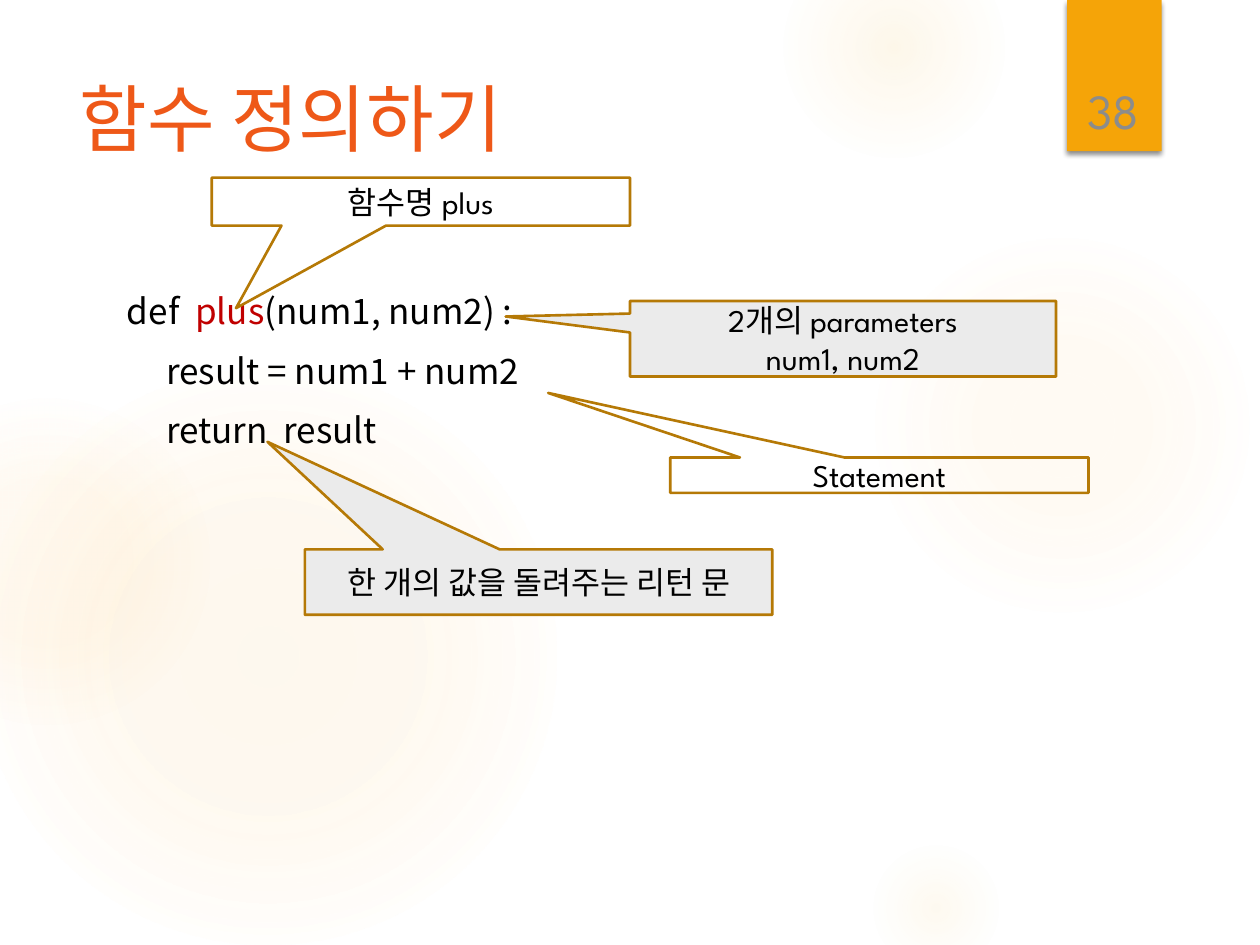
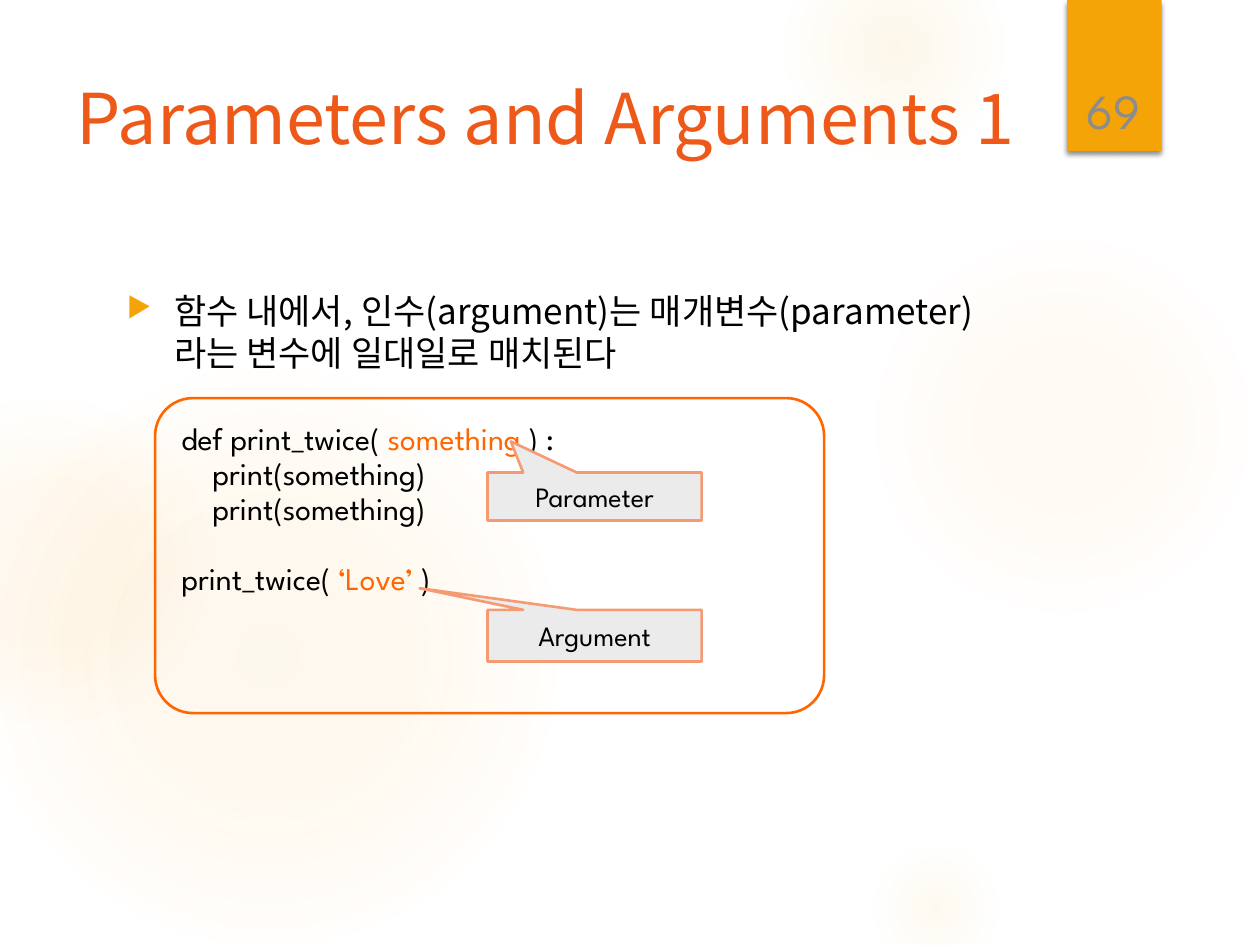
from lxml import etree
from pptx import Presentation
from pptx.dml.color import RGBColor
from pptx.enum.shapes import MSO_SHAPE
from pptx.enum.text import MSO_ANCHOR, PP_ALIGN
from pptx.oxml import parse_xml
from pptx.oxml.ns import nsdecls, qn
from pptx.util import Pt

ELLIPSE, RECT = MSO_SHAPE.OVAL, MSO_SHAPE.RECTANGLE
ROUNDED, CALLOUT = MSO_SHAPE.ROUNDED_RECTANGLE, MSO_SHAPE.RECTANGULAR_CALLOUT
TOP, MIDDLE, BOTTOM = MSO_ANCHOR.TOP, MSO_ANCHOR.MIDDLE, MSO_ANCHOR.BOTTOM
LEFT, CENTER = PP_ALIGN.LEFT, PP_ALIGN.CENTER

HEADING_FONT, LABEL_FONT = "Noto Sans CJK KR", "League Spartan"
BLACK, ORANGE_RED, AMBER, GLOW = "000000", "EE5818", "F5A408", "FAC96A"
GREY, PALE, RED, ORANGE = "8C8C8C", "EBEBEB", "C00000", "FF6600"
BROWN, SALMON = "B57906", "F59B74"

GLOWS = [
    (496, 132, 222, [(0, 7), (36, 6), (69, 0)]),
    (448, -36, 126, [(0, 14), (36, 7), (73, 0)]),
    (496, 480, 78, [(0, 10), (31, 5), (66, 0)]),
    (-12, 210, 330, [(0, 11), (36, 10), (75, 0)]),
    (-66, 228, 186, [(0, 8), (36, 8), (72, 0)]),
]
BODY_BOX = (65.5, 162, 528.5, 330.5)


def rgb(hex_color):
    """Turn a hex string into a colour."""
    return RGBColor.from_string(hex_color)


def add_box(slide, kind, box, fill=None, line=None):
    """Add a flat shape with an optional fill and outline."""
    shape = slide.shapes.add_shape(kind, *map(Pt, box))
    shape.shadow.inherit = False
    if fill:
        shape.fill.solid()
        shape.fill.fore_color.rgb = rgb(fill)
    else:
        shape.fill.background()
    if line:
        shape.line.color.rgb = rgb(line)
        shape.line.width = Pt(1.5)
    else:
        shape.line.fill.background()
    return shape


def write(frame, lines, size, font, color=BLACK, align=LEFT, anchor=TOP,
          spacing=None, gap=0):
    """Write lines made of (text, accent colour) runs and return the paragraphs."""
    frame.word_wrap = True
    frame.vertical_anchor = anchor
    for number, runs in enumerate(lines):
        paragraph = frame.add_paragraph() if number else frame.paragraphs[0]
        paragraph.alignment = align
        if spacing:
            paragraph.line_spacing = Pt(spacing)
        paragraph.space_before = Pt(gap if number else 0)
        paragraph.font.size = Pt(size)
        paragraph.font.name = font
        paragraph.font.color.rgb = rgb(color)
        defaults = paragraph.font.color and paragraph.runs or ()
        for text, accent in runs:
            run = paragraph.add_run()
            run.text = text
            if accent:
                run.font.color.rgb = rgb(accent)
    return frame.paragraphs


def add_text(slide, box, lines, size, font, **style):
    """Add a text box and return its paragraphs."""
    frame = slide.shapes.add_textbox(*map(Pt, box)).text_frame
    return write(frame, lines, size, font, **style)


def add_glow(slide, left, top, diameter, stops):
    """Add a soft round glow that fades outwards."""
    glow = add_box(slide, ELLIPSE, (left, top, diameter, diameter))
    stop_xml = "".join(
        f'<a:gs pos="{position * 1000}"><a:srgbClr val="{GLOW}">'
        f'<a:alpha val="{alpha * 1000}"/></a:srgbClr></a:gs>'
        for position, alpha in stops)
    gradient = parse_xml(
        f'<a:gradFill {nsdecls("a")} rotWithShape="1"><a:gsLst>{stop_xml}</a:gsLst>'
        '<a:path path="circle"><a:fillToRect l="50000" t="50000" r="50000" b="50000"/>'
        '</a:path></a:gradFill>')
    properties = glow.element.spPr
    properties.replace(properties.find(qn("a:noFill")), gradient)


def add_number_band(slide, box, number):
    """Add the shadowed page band with its number."""
    left, top, width, height = box
    band = add_box(slide, RECT, box, AMBER)
    band.element.spPr.find(qn("a:effectLst")).append(parse_xml(
        f'<a:outerShdw {nsdecls("a")} blurRad="38100" dist="25400" dir="5400000" '
        'algn="ctr" rotWithShape="0"><a:srgbClr val="000000"><a:alpha val="45000"/>'
        '</a:srgbClr></a:outerShdw>'))
    add_text(slide, (left + 1.5, top + 23, width - 4.3, height - 26),
             [[(number, None)]], 28, LABEL_FONT, color=GREY, align=CENTER, anchor=BOTTOM)


def add_title(slide, box, text, size):
    """Place the title above the background."""
    title = slide.shapes.title
    title.element.getparent().append(title.element)
    title.left, title.top, title.width, title.height = map(Pt, box)
    write(title.text_frame, [[(text, None)]], size, HEADING_FONT,
          color=ORANGE_RED, spacing=size * 1.25)


def start_slide(deck, number, title, size, title_box):
    """Add a slide with the shared background, page band and title."""
    slide = deck.slides.add_slide(deck.slide_layouts[5])
    for glow in GLOWS:
        add_glow(slide, *glow)
    add_number_band(slide, (609.8, 0, 54, 86.4), number)
    add_title(slide, title_box, title, size)
    return slide


def add_callout(slide, box, tip, lines, size, fill, line):
    """Add a labelled callout whose tip is relative to its centre."""
    callout = add_box(slide, CALLOUT, box, fill, line)
    callout.adjustments[0], callout.adjustments[1] = tip
    write(callout.text_frame, [[(text, None)] for text in lines], size,
          LABEL_FONT, align=CENTER, anchor=MIDDLE)


def add_definition(slide, box):
    """Show a function definition with its parts called out."""
    left, top, _, _ = box
    code = [
        [("def  ", None), ("plus", RED), ("(num1, num2) :", None)],
        [("     result = num1 + num2", None)],
        [("     return  result", None)],
    ]
    add_text(slide, box, code, 20, HEADING_FONT, spacing=24, gap=10)
    parts = [
        ((294.5, 10, 243.4, 43.2), (-0.792, -0.294), ["2개의 parameters", "num1, num2"], PALE),
        ((317.5, 99.4, 239, 20.2), (-0.792, -2.326), ["Statement"], None),
        ((108.7, 151.9, 267.1, 37.4), (-0.58, -2.143), ["한 개의 값을 돌려주는 리턴 문"], PALE),
        ((55.5, -60.5, 239, 27.4), (-0.442, 2.221), ["함수명 plus"], None),
    ]
    for (x, y, width, height), tip, lines, fill in parts:
        add_callout(slide, (left + x, top + y, width, height), tip, lines, 18, fill, BROWN)


def add_bullet(slide, box, text):
    """Add one bulleted statement."""
    paragraph = add_text(slide, box, [[]], 20, HEADING_FONT, spacing=24)[0]
    properties = paragraph.font and paragraph._p.get_or_add_pPr()
    properties.set("marL", str(Pt(27)))
    properties.set("indent", str(-Pt(27)))
    defaults = properties.find(qn("a:defRPr"))
    color = etree.Element(qn("a:buClr"))
    etree.SubElement(color, qn("a:srgbClr"), val=AMBER)
    for mark in (color, etree.Element(qn("a:buSzPct"), val="80000"),
                 etree.Element(qn("a:buChar"), char="▶")):
        defaults.addprevious(mark)
    paragraph.add_run().text = text


def add_code_panel(slide, box):
    """Show a framed call with its parameter and argument called out."""
    left, top, _, _ = box
    add_box(slide, ROUNDED, box, line=ORANGE).adjustments[0] = 0.12
    code = [
        [("def print_twice( ", None), ("something", ORANGE), (" ) :", None)],
        [("    print(something)", None)],
        [("    print(something)", None)],
        [("print_twice( ", None), ("‘Love’ ", ORANGE), (")", None)],
    ]
    lines = add_text(slide, (left + 7.9, top + 10.1, 298, 108), code, 18,
                     LABEL_FONT, spacing=20)
    lines[-1].space_before = Pt(20)
    for y, height, tip, label in [
        (42.5, 27.4, (-0.391, -1.149), "Parameter"),
        (121, 29.5, (-0.817, -0.919), "Argument"),
    ]:
        add_callout(slide, (left + 190, top + y, 122.4, height), tip, [label],
                    16, PALE, SALMON)


def main():
    """Build and save the deck."""
    deck = Presentation()
    deck.slide_width, deck.slide_height = Pt(720), Pt(540)

    definition = start_slide(deck, "38", "함수 정의하기", 42, (38.2, 36, 555.8, 110.2))
    add_definition(definition, BODY_BOX)

    arguments = start_slide(deck, "69", "Parameters and Arguments 1", 40,
                            (36.7, 36.7, 620.6, 110.2))
    add_bullet(arguments, BODY_BOX,
               "함수 내에서, 인수(argument)는 매개변수(parameter)라는 변수에 일대일로 매치된다")
    add_code_panel(arguments, (88.6, 227.5, 382.3, 180))

    deck.save("out.pptx")


if __name__ == "__main__":
    main()
